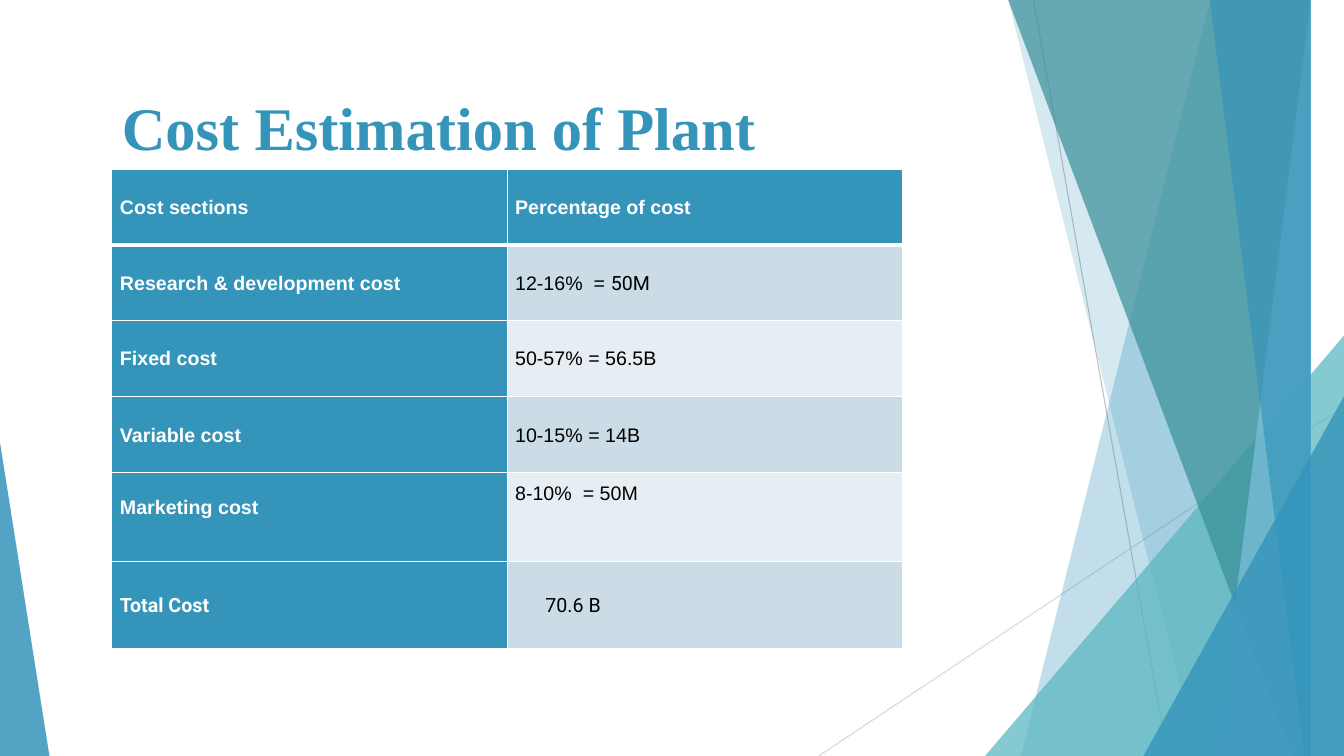
"""Builds the plant cost estimation slide."""
import pptx
import pptx.dml.color
import pptx.enum.shapes
import pptx.enum.text
import pptx.oxml
import pptx.oxml.ns
import pptx.util
from pptx.util import Inches

RGBColor = pptx.dml.color.RGBColor
Shape = pptx.enum.shapes.MSO_SHAPE
Anchor = pptx.enum.text.MSO_ANCHOR

WHITE = RGBColor(0xFF, 0xFF, 0xFF)
BLACK = RGBColor(0, 0, 0)
BLUE = RGBColor(0x34, 0x94, 0xBA)
PALE_BLUE = RGBColor(0x7E, 0xC0, 0xDB)
AQUA = RGBColor(0x58, 0xB6, 0xC0)
TEAL = RGBColor(0x39, 0x8F, 0x98)
BAND_DARK = RGBColor(0xCC, 0xDC, 0xE6)
BAND_LIGHT = RGBColor(0xE7, 0xEE, 0xF3)
GREY = RGBColor(0xBF, 0xBF, 0xBF)
LIGHT_GREY = RGBColor(0xD8, 0xD8, 0xD8)

WIDTH, HEIGHT, BLEED = 13.33, 7.5, -0.01


def add_xml(parent, tag, **attributes):
    """Append a drawing element and return it."""
    element = parent.makeelement(pptx.oxml.ns.qn(tag), attributes)
    parent.append(element)
    return element


class SlideBuilder:
    """Holds the table style and the current slide."""

    cell_font = "Arial"
    cell_size = 14
    cell_margin = 0.08
    line_spacing = 1.07

    def __init__(self, slide):
        self.shapes = slide.shapes

    def line(self, start, end, color):
        """Draw a thin straight line."""
        line = self.shapes.add_connector(
            pptx.enum.shapes.MSO_CONNECTOR.STRAIGHT,
            *(Inches(value) for value in start + end))
        line.line.color.rgb = color
        line.line.width = pptx.util.Pt(0.75)
        add_xml(line._element.spPr, "a:effectLst")

    def paint(self, shape, color, opacity):
        """Give a shape a translucent fill and no outline."""
        shape.shadow.inherit = False
        shape.fill.solid()
        shape.fill.fore_color.rgb = color
        shape.line.fill.background()
        tint = shape._element.spPr.find(".//" + pptx.oxml.ns.qn("a:srgbClr"))
        add_xml(tint, "a:alpha", val=str(opacity * 1000))

    def facet(self, top, bottom, color, opacity):
        """Draw a facet from a slanted left side to the right slide edge."""
        outline = self.shapes.build_freeform(top, BLEED, scale=Inches(1))
        outline.add_line_segments(
            [(WIDTH, BLEED), (WIDTH, HEIGHT), (bottom, HEIGHT)], close=True)
        self.paint(outline.convert_to_shape(), color, opacity)

    def corner(self, left, top, width, apex, color, opacity):
        """Draw a triangle standing on the bottom slide edge."""
        shape = self.shapes.add_shape(
            Shape.ISOSCELES_TRIANGLE, Inches(left), Inches(top),
            Inches(width), Inches(HEIGHT - top))
        shape.adjustments[0] = apex
        self.paint(shape, color, opacity)

    def span(self, para, text, font, size, color, bold):
        """Add one run of text."""
        span = para.add_run()
        span.text = text
        span.font.name = font
        span.font.size = pptx.util.Pt(size)
        span.font.color.rgb = color
        span.font.bold = bold

    def title(self, text):
        """Add the slide title."""
        box = self.shapes.add_textbox(
            Inches(1.11), Inches(0.76), Inches(9.4), Inches(1.44))
        frame = box.text_frame
        frame.word_wrap = True
        frame.margin_top = Inches(0.13)
        self.span(frame.paragraphs[0], text, "Times New Roman", 43.2, BLUE, True)

    def cell(self, cell, spans, color, bold, fill, borders):
        """Fill one table cell with styled runs."""
        properties = cell._tc.get_or_add_tcPr()
        for side, points in zip("LRTB", borders):
            edge = add_xml(properties, "a:ln" + side, w=str(pptx.util.Pt(points)))
            add_xml(add_xml(edge, "a:solidFill"), "a:srgbClr", val=str(WHITE))
        cell.fill.solid()
        cell.fill.fore_color.rgb = fill
        cell.vertical_anchor = Anchor.MIDDLE
        cell.margin_left = cell.margin_right = Inches(self.cell_margin)
        cell.margin_top = cell.margin_bottom = Inches(self.cell_margin)
        para = cell.text_frame.paragraphs[0]
        para.line_spacing = self.line_spacing
        for text, font in spans:
            self.span(para, text, font, self.cell_size, color, bold)

    def table(self, left, top, column_width, heights, rows):
        """Add a table with a header row and a header column."""
        table = self.shapes.add_table(
            len(rows), 2, Inches(left), Inches(top),
            Inches(2 * column_width), Inches(sum(heights))).table
        for column in table.columns:
            column.width = Inches(column_width)
        for index, (height, row) in enumerate(zip(heights, rows)):
            table.rows[index].height = Inches(height)
            borders = (1, 1, 3 if index == 1 else 1, 3 if index == 0 else 1)
            band = BAND_DARK if index % 2 else BAND_LIGHT
            for column, spans in enumerate(row):
                header = index == 0 or column == 0
                self.cell(table.cell(index, column), spans,
                          WHITE if header else BLACK, header,
                          BLUE if header else band, borders)
        return table


def main():
    """Build and save the deck."""
    deck = pptx.Presentation()
    deck.slide_width, deck.slide_height = Inches(WIDTH), Inches(HEIGHT)
    page = SlideBuilder(deck.slides.add_slide(deck.slide_layouts[6]))

    page.line((10.25, 0), (11.58, HEIGHT), GREY)
    page.line((WIDTH, 4.03), (8.12, HEIGHT), LIGHT_GREY)
    page.facet(12.28, 10.04, BLUE, 30)
    page.facet(10.5, 11.83, BLUE, 20)
    page.corner(9.77, 3.33, 3.56, 1, AQUA, 72)
    page.facet(10.21, 12.91, TEAL, 70)
    page.facet(13.03, 11.92, PALE_BLUE, 70)
    page.facet(11.96, 13.18, BLUE, 65)
    page.corner(11.34, 3.93, 1.99, 1, BLUE, 80)
    page.corner(0, 4.39, 0.49, 0, BLUE, 85)

    page.title("Cost Estimation of Plant")
    arial, roboto = page.cell_font, "Roboto"
    rows = [
        ([("Cost sections", arial)], [("Percentage of cost", arial)]),
        ([("Research & development cost", arial)],
         [("12-16%  = ", arial), ("50M", roboto)]),
        ([("Fixed cost", arial)], [("50-57% = 56.5B", arial)]),
        ([("Variable cost", arial)], [("10-15% = 14B", arial)]),
        ([("Marketing cost", arial)], [("8-10%  = 50M", arial)]),
        ([("Total Cost", roboto)], [("70.6 B", roboto)]),
    ]
    costs = page.table(1.11, 1.68, 3.92, [0.75, 0.75, 0.75, 0.76, 0.88, 0.86], rows)
    costs.cell(4, 0).margin_bottom = Inches(0.28)
    costs.cell(4, 1).vertical_anchor = Anchor.TOP
    costs.cell(5, 1).margin_left = Inches(0.38)
    deck.save("out.pptx")


if __name__ == "__main__":
    main()
